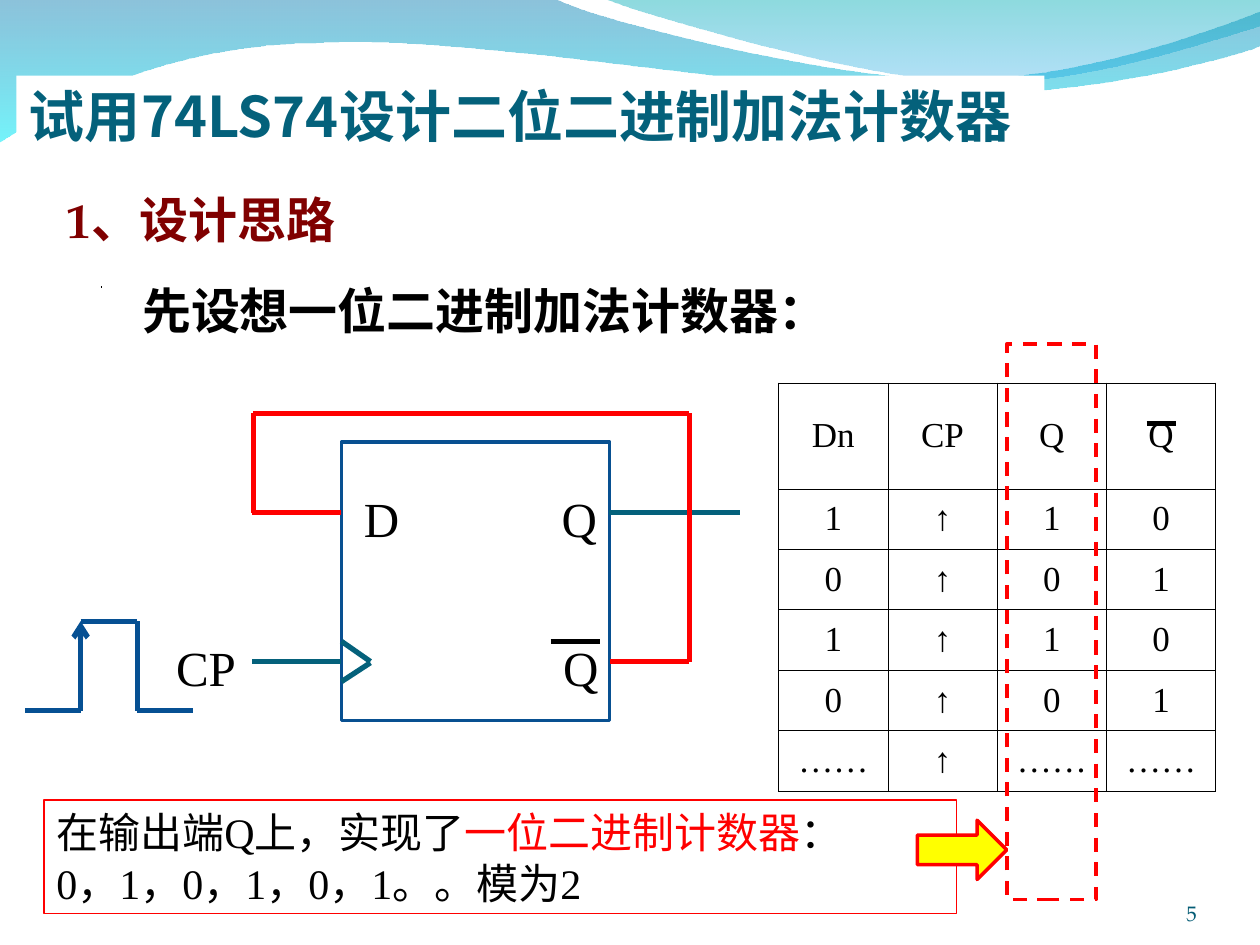
from dataclasses import dataclass
from typing import Optional

import lxml.etree
import pptx
import pptx.dml.color
import pptx.enum.dml
import pptx.enum.shapes
import pptx.enum.text
import pptx.oxml
import pptx.oxml.ns
import pptx.util

Inches = pptx.util.Inches
Pt = pptx.util.Pt
qn = pptx.oxml.ns.qn
Anchor = pptx.enum.text.MSO_ANCHOR
Align = pptx.enum.text.PP_ALIGN
Preset = pptx.enum.shapes.MSO_SHAPE

SERIF, CHINESE, HEADING = "Times New Roman", "Noto Sans CJK SC", "TeX Gyre Pagella"
BLACK, WHITE, RED, TEAL, BLUE = "000000", "FFFFFF", "FF0000", "04617B", "065093"


@dataclass
class Run:
    text: str
    size: float
    font: str = SERIF
    color: str = BLACK
    bold: bool = False


@dataclass
class Wire:
    x1: float
    y1: float
    x2: float
    y2: float
    color: str
    width: float = 3
    arrow_at_start: bool = False


@dataclass
class Label:
    box: tuple
    run: Run
    anchor: Anchor = Anchor.TOP
    spacing: Optional[float] = None
    align: Optional[Align] = None
    inset: float = 0.1


def rgb(value: str) -> pptx.dml.color.RGBColor:
    return pptx.dml.color.RGBColor.from_string(value)


def inches(values: tuple) -> list:
    return [Inches(value) for value in values]


def add_run(paragraph, content: Run, east_asian: bool = True) -> None:
    run = paragraph.add_run()
    run.text = content.text
    run.font.size = Pt(content.size)
    run.font.name = content.font
    run.font.bold = content.bold
    run.font.color.rgb = rgb(content.color)
    if east_asian:
        properties = run.font._element
        lxml.etree.SubElement(properties, qn("a:ea")).set("typeface", CHINESE)


def prepare_frame(frame, anchor: Anchor, inset: float = 0.1) -> None:
    frame.word_wrap = True
    frame.auto_size = pptx.enum.text.MSO_AUTO_SIZE.NONE
    frame.vertical_anchor = anchor
    frame.margin_left = frame.margin_right = Inches(inset)
    frame.margin_top = frame.margin_bottom = Inches(inset / 2)


def add_label(slide, label: Label) -> None:
    frame = slide.shapes.add_textbox(*inches(label.box)).text_frame
    prepare_frame(frame, label.anchor, label.inset)
    paragraph = frame.paragraphs[0]
    paragraph.alignment = label.align
    if label.spacing:
        paragraph.line_spacing = Pt(label.spacing)
    add_run(paragraph, label.run, east_asian=label.spacing is not None)


def add_wire(slide, wire: Wire) -> None:
    connector = slide.shapes.add_connector(
        pptx.enum.shapes.MSO_CONNECTOR.STRAIGHT,
        *inches((wire.x1, wire.y1, wire.x2, wire.y2)))
    connector.line.color.rgb = rgb(wire.color)
    connector.line.width = Pt(wire.width)
    if wire.arrow_at_start:
        head = lxml.etree.SubElement(connector.line._get_or_add_ln(), qn("a:headEnd"))
        head.set("type", "arrow")
    lxml.etree.SubElement(connector._element.spPr, qn("a:effectLst"))


def add_box(slide, preset: Preset, box: tuple, line: str, width: float, fill: str = ""):
    shape = slide.shapes.add_shape(preset, *inches(box))
    shape.shadow.inherit = False
    shape.line.color.rgb = rgb(line)
    shape.line.width = Pt(width)
    if fill:
        shape.fill.solid()
        shape.fill.fore_color.rgb = rgb(fill)
    else:
        shape.fill.background()
    return shape


def add_wave(slide, start: tuple, parts: list, stops: list) -> None:
    """A part holds one point for a line or three for a cubic curve."""
    builder = slide.shapes.build_freeform(*inches(start))
    builder.add_line_segments([inches(point) for part in parts for point in part], close=True)
    wave = builder.convert_to_shape()
    wave.shadow.inherit = False
    wave.line.fill.background()

    # Join the three points of each curve
    properties = wave._element.spPr
    segments = iter(list(properties.iter(qn("a:lnTo"))))
    for part in parts:
        first, *others = [next(segments) for _ in part]
        if others:
            curve = lxml.etree.Element(qn("a:cubicBezTo"))
            first.addprevious(curve)
            for segment in (first, *others):
                curve.append(segment[0])
                segment.getparent().remove(segment)

    # Translucent gradient from top to bottom
    wave.fill.gradient()
    gradient = properties.find(qn("a:gradFill"))
    for child in list(gradient):
        gradient.remove(child)
    stop_list = lxml.etree.SubElement(gradient, qn("a:gsLst"))
    for position, color, alpha in stops:
        stop = lxml.etree.SubElement(stop_list, qn("a:gs"), pos=str(position * 1000))
        fill = lxml.etree.SubElement(stop, qn("a:srgbClr"), val=color)
        lxml.etree.SubElement(fill, qn("a:alpha"), val=str(alpha * 1000))
    lxml.etree.SubElement(gradient, qn("a:lin"), ang="5400000", scaled="0")


def add_border(cell) -> None:
    properties = cell._tc.get_or_add_tcPr()
    for index, side in enumerate(("lnL", "lnR", "lnT", "lnB")):
        line = pptx.oxml.parse_xml(
            f'<a:{side} xmlns:a="http://schemas.openxmlformats.org/drawingml/2006/main" '
            f'w="5715"><a:solidFill><a:srgbClr val="{BLACK}"/></a:solidFill></a:{side}>')
        properties.insert(index, line)


def add_truth_table(slide, rows: list) -> None:
    width = Inches(3.47)
    table = slide.shapes.add_table(len(rows), 4, Inches(6.18), Inches(3.04),
                                   width, Inches(3.24)).table
    table.first_row = table.horz_banding = False
    for column in table.columns:
        column.width = width // 4
    for index, values in enumerate(rows):
        table.rows[index].height = Inches(0.48 if index else 0.84)
        for cell, value in zip(table.rows[index].cells, values):
            cell.fill.background()
            cell.vertical_anchor = Anchor.MIDDLE
            paragraph = cell.text_frame.paragraphs[0]
            paragraph.alignment = Align.CENTER
            add_run(paragraph, Run(value, 20), east_asian=False)
            add_border(cell)


def main() -> None:
    presentation = pptx.Presentation()
    presentation.slide_width, presentation.slide_height = Inches(10), Inches(7.5)
    slide = presentation.slides.add_slide(presentation.slide_layouts[5])

    # Background waves
    add_wave(slide, (0, -0.01),
             [[(4.4, -0.01)], [(4.76, 0.17), (6.64, 0.63), (7.58, 0.63)],
              [(8.53, 0.63), (9.58, 0.26), (10, 0.09)], [(10.01, 0.36)],
              [(9.83, 0.44), (8.7, 0.76), (7.46, 0.75)],
              [(6.22, 0.75), (3.82, 0.28), (2.57, 0.34)],
              [(1.29, 0.35), (0.46, 0.83), (-0.01, 1.13)]],
             [(0, "0079AF", 45), (100, "00EBF8", 55)])
    add_wave(slide, (4.79, -0.01),
             [[(5.09, 0.11), (6.82, 0.62), (7.69, 0.65)],
              [(8.56, 0.69), (9.61, 0.32), (10, 0.21)], [(10, 0)]],
             [(0, "00ADB6", 45), (100, "009BE5", 30)])

    # Title, in front of the waves
    title = slide.shapes.title
    slide.shapes._spTree.append(title._element)
    title.left, title.top, title.width, title.height = inches((0.13, 0.6, 8.16, 0.64))
    title.fill.solid()
    title.fill.fore_color.rgb = rgb(WHITE)
    prepare_frame(title.text_frame, Anchor.MIDDLE)
    paragraph = title.text_frame.paragraphs[0]
    paragraph.alignment = Align.LEFT
    paragraph.line_spacing = Pt(38)
    add_run(paragraph, Run("试用74LS74设计二位二进制加法计数器", 32, CHINESE, TEAL, True))

    # Headings and page number
    for label in (
        Label((1.03, 2.17, 5.63, 0.57), Run("先设想一位二进制加法计数器：", 28, HEADING, BLACK, True),
              Anchor.MIDDLE, 34),
        Label((0.43, 1.45, 2.91, 0.57), Run("1、设计思路", 28, HEADING, "800000", True),
              spacing=34),
        Label((8.67, 6.95, 0.83, 0.4), Run("5", 12, HEADING, "045C75"), Anchor.BOTTOM,
              align=Align.RIGHT, inset=0),
    ):
        add_label(slide, label)
    add_wire(slide, Wire(0.8, 2.28, 0.81, 2.28, BLACK, 1))

    # Truth table with the Q column marked
    add_truth_table(slide, [("Dn", "CP", "Q", "Q")]
                    + [("1", "↑", "1", "0"), ("0", "↑", "0", "1")] * 2
                    + [("……", "↑", "……", "……")])
    marker = add_box(slide, Preset.RECTANGLE, (7.99, 2.73, 0.71, 4.41), RED, 2)
    marker.line.dash_style = pptx.enum.dml.MSO_LINE.DASH

    # Conclusion and its arrow
    conclusion = add_box(slide, Preset.RECTANGLE, (0.35, 6.35, 7.24, 0.9), RED, 0.75)
    frame = conclusion.text_frame
    prepare_frame(frame, Anchor.TOP)
    lines = ([Run("在输出端Q上，实现了", 24), Run("一位二进制计数器", 24, color=RED), Run("：", 24)],
             [Run("0，1，0，1，0，1。。模为2", 24)])
    for index, runs in enumerate(lines):
        paragraph = frame.add_paragraph() if index else frame.paragraphs[0]
        paragraph.alignment = Align.LEFT
        paragraph.line_spacing = Pt(29)
        for run in runs:
            add_run(paragraph, run)
    arrow = add_box(slide, Preset.DOWN_ARROW, (7.4, 6.39, 0.47, 0.71), RED, 2, "FFFF00")
    arrow.rotation = 270

    # Flip-flop, clock pulse, feedback loop and overbars
    add_box(slide, Preset.RECTANGLE, (2.71, 3.51, 2.13, 2.21), "085091", 2, WHITE)
    for text, left, top, width in (("D", 2.79, 3.83, 0.39), ("Q", 4.36, 3.83, 0.39),
                                   ("CP", 1.3, 5.01, 0.94), ("Q", 4.37, 5.01, 0.39)):
        add_label(slide, Label((left, top, width, 0.57), Run(text, 28)))
    for wire in (
        Wire(2, 5.25, 2.71, 5.25, TEAL), Wire(2, 4.07, 2.71, 4.07, RED),
        Wire(4.83, 4.07, 5.87, 4.07, TEAL),
        Wire(2.71, 5.09, 2.94, 5.25, TEAL), Wire(2.71, 5.41, 2.94, 5.26, TEAL),
        Wire(0.2, 5.64, 0.64, 5.64, BLUE), Wire(1.09, 5.64, 1.53, 5.64, BLUE),
        Wire(0.64, 4.93, 1.09, 4.93, BLUE), Wire(1.09, 4.93, 1.09, 5.64, BLUE),
        Wire(0.64, 4.93, 0.64, 5.64, BLUE, arrow_at_start=True),
        Wire(4.84, 5.25, 5.47, 5.25, RED), Wire(2.01, 3.28, 5.47, 3.28, RED),
        Wire(5.47, 3.28, 5.47, 5.25, RED), Wire(2.01, 3.28, 2.01, 4.07, RED),
        Wire(4.37, 5.09, 4.76, 5.09, BLACK), Wire(9.1, 3.36, 9.33, 3.36, BLACK),
    ):
        add_wire(slide, wire)

    presentation.save("out.pptx")


if __name__ == "__main__":
    main()
